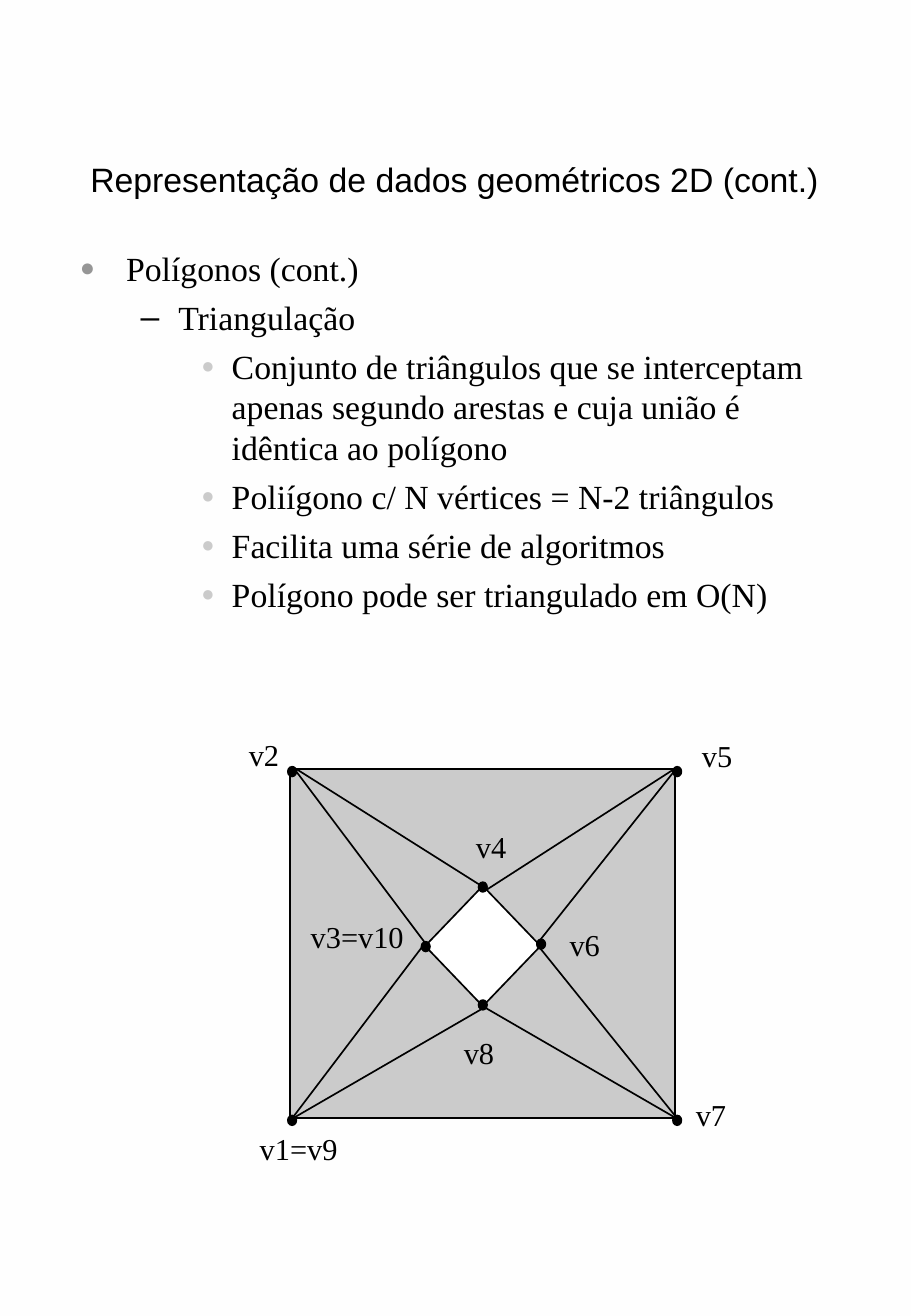
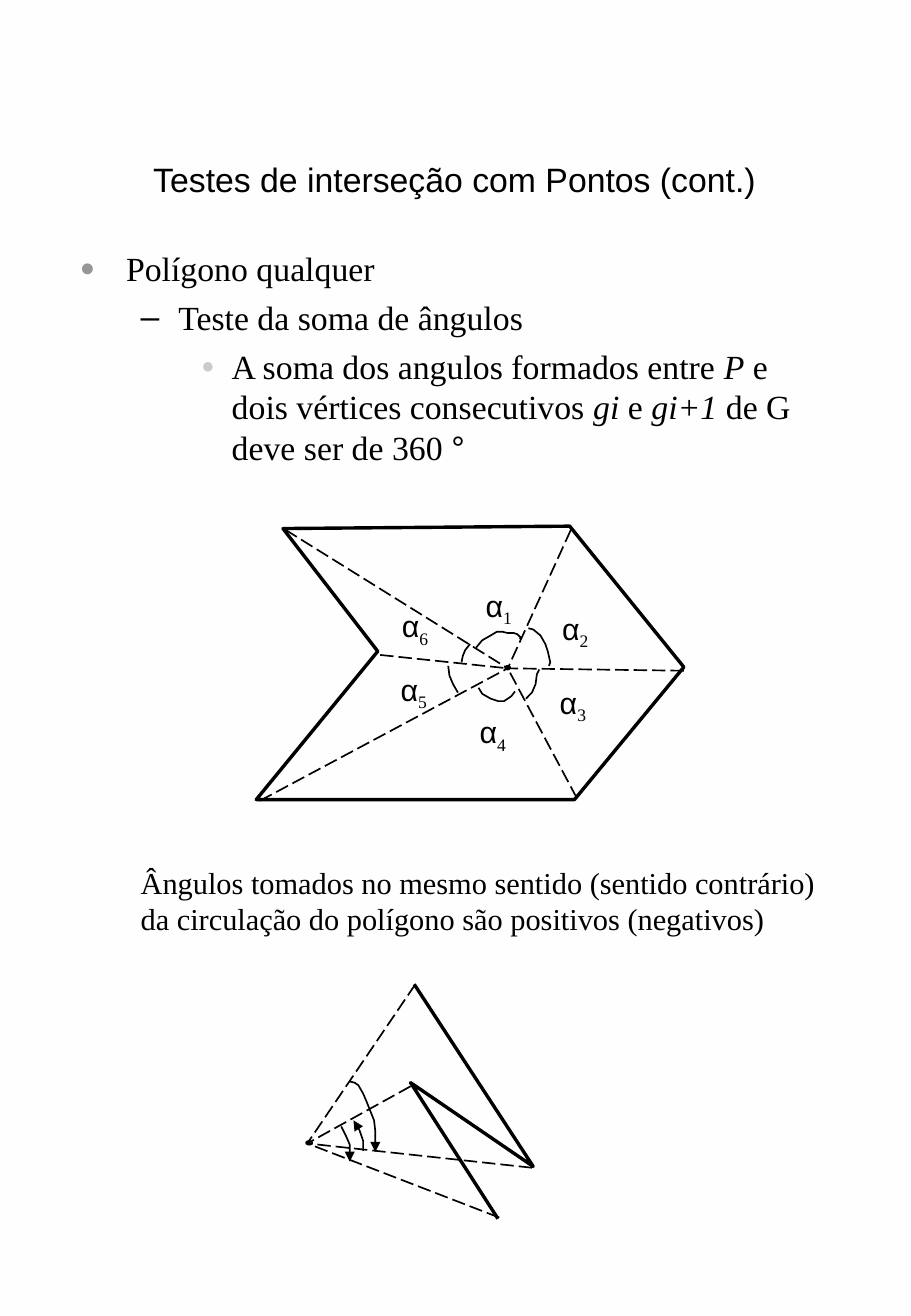
from itertools import product

from lxml import etree
from pptx import Presentation
from pptx.dml.color import RGBColor
from pptx.enum.dml import MSO_LINE
from pptx.enum.shapes import MSO_CONNECTOR, MSO_SHAPE
from pptx.enum.text import MSO_ANCHOR, MSO_AUTO_SIZE, PP_ALIGN
from pptx.oxml.ns import qn
from pptx.util import Inches, Pt

BLACK = RGBColor(0x00, 0x00, 0x00)
WHITE = RGBColor(0xFF, 0xFF, 0xFF)
PALE = RGBColor(0xFE, 0xFE, 0xFE)
GRAY = RGBColor(0xCB, 0xCB, 0xCB)
DARK = RGBColor(0x96, 0x96, 0x96)
SERIF, SANS = "Times New Roman", "Arial"
OVAL, DIAMOND = MSO_SHAPE.OVAL, MSO_SHAPE.DIAMOND
LEFT, CENTER = PP_ALIGN.LEFT, PP_ALIGN.CENTER
TOP, MIDDLE = MSO_ANCHOR.TOP, MSO_ANCHOR.MIDDLE
FIT = MSO_AUTO_SIZE.SHAPE_TO_FIT_TEXT
DASH = MSO_LINE.LONG_DASH
STRAIGHT = MSO_CONNECTOR.STRAIGHT

# Per level: left margin, hanging indent, sign, its font, colour, size in percent
LEVELS = [
    (0.38, 0.38, "●", SERIF, DARK, 75),
    (0.81, 0.31, "–", SANS, BLACK, 100),
    (1.25, 0.25, "●", SERIF, GRAY, 65),
]


def text(page, box, paras, size=18, font=SERIF, align=LEFT, anchor=TOP,
         wrap=True, fit=False, before=0):
    """Each paragraph is (level or None, run, ...); a run is a string or (string, format)."""
    frame = page.shapes.add_textbox(*map(Inches, box)).text_frame
    frame.word_wrap = wrap
    frame.vertical_anchor = anchor
    if fit:
        frame.auto_size = FIT
    for i, (level, *runs) in enumerate(paras):
        para = frame.add_paragraph() if i else frame.paragraphs[0]
        para.alignment = align
        para.space_before = Pt(before)
        if level is not None:
            margin, hang, sign, face, color, scale = LEVELS[level]
            para.level = level
            props = para._p.get_or_add_pPr()
            props.set("marL", str(Inches(margin)))
            props.set("indent", str(-Inches(hang)))
            tint = etree.SubElement(props, qn("a:buClr"))
            etree.SubElement(tint, qn("a:srgbClr"), val=str(color))
            etree.SubElement(props, qn("a:buSzPct"), val=str(scale * 1000))
            etree.SubElement(props, qn("a:buFont"), typeface=face)
            etree.SubElement(props, qn("a:buChar"), char=sign)
        for part in runs:
            words, form = (part, {}) if isinstance(part, str) else part
            run = para.add_run()
            run.text = words
            run.font.size = Pt(size)
            run.font.name = form.get("font", font)
            run.font.italic = form.get("italic", False)
            run.font.color.rgb = BLACK
            if "base" in form:
                run._r.get_or_add_rPr().set("baseline", str(form["base"] * 1000))


def draw(page, points, width=1, fill=None, close=False, dash=None, arrow=False):
    """Two points give a connector, more give a freeform."""
    spots = [(Inches(x), Inches(y)) for x, y in points]
    if len(spots) == 2:
        shape = page.shapes.add_connector(STRAIGHT, *spots[0], *spots[1])
    else:
        pen = page.shapes.build_freeform(*spots[0], scale=1.0)
        pen.add_line_segments(spots[1:], close=close)
        shape = pen.convert_to_shape()
        if fill is None:
            shape.fill.background()
        else:
            shape.fill.solid()
            shape.fill.fore_color.rgb = fill
    shape.line.color.rgb = BLACK
    shape.line.width = Pt(width)
    if dash:
        shape.line.dash_style = dash
    if arrow:
        etree.SubElement(shape.line._get_or_add_ln(), qn("a:tailEnd"), type="triangle")
    etree.SubElement(shape._element.spPr, qn("a:effectLst"))


deck = Presentation()
deck.slide_width, deck.slide_height = Inches(7.5), Inches(10.83)

ITALIC = {"italic": True}
topics = [
    ("Representação de dados geométricos 2D (cont.)", 7.64, [
        (0, "Polígonos (cont.)"),
        (1, "Triangulação"),
        (2, "Conjunto de triângulos que se interceptam apenas segundo arestas "
            "e cuja união é idêntica ao polígono"),
        (2, "Poliígono c/ N vértices = N-2 triângulos"),
        (2, "Facilita uma série de algoritmos"),
        (2, "Polígono pode ser triangulado em O(N)"),
    ]),
    ("Testes de interseção com Pontos (cont.)", 2.26, [
        (0, "Polígono qualquer"),
        (1, "Teste da soma de ângulos"),
        (2, "A soma dos angulos formados entre ", ("P", ITALIC),
         " e dois vértices consecutivos ", ("gi ", ITALIC), "e ", ("gi+1 ", ITALIC),
         "de G deve ser de 360 ", ("°", {"font": SANS})),
    ]),
]
pages = []
for title, height, body in topics:
    page = deck.slides.add_slide(deck.slide_layouts[6])
    back = page.background.fill
    back.gradient()
    back.gradient_angle = 180
    for stop, color in zip(back.gradient_stops, (PALE, WHITE)):
        stop.color.rgb = color
    text(page, (0.56, 0.96, 6.37, 1.02), [(None, title)], size=20, font=SANS,
         align=CENTER, anchor=MIDDLE)
    text(page, (0.56, 1.99, 6.37, height), body, size=20, before=5)
    pages.append(page)
mesh, angles = pages

# Outlines
draw(mesh, [(2.39, 9.2), (2.39, 6.33), (5.56, 6.33), (5.56, 9.2)], fill=GRAY, close=True)
draw(angles, [(2.11, 6.58), (3.11, 5.36), (2.33, 4.35), (4.69, 4.33), (5.63, 5.49),
              (4.73, 6.58)], width=2, close=True)
draw(angles, [(3.41, 8.1), (4.39, 9.6), (3.38, 8.91), (4.1, 10.03)], width=2)

# Hole and vertex dots
knots = [*product((2.37, 5.54), (6.31, 9.18)),
         (3.47, 7.75), (3.94, 7.26), (4.42, 7.73), (3.94, 8.23)]
marks = [(mesh, DIAMOND, (3.5, 7.29, 0.95, 0.99), WHITE)]
marks += [(mesh, OVAL, (x, y, 0.07, 0.08), BLACK) for x, y in knots]
marks += [(angles, OVAL, (4.16, 5.48, 0.04, 0.03), GRAY),
          (angles, OVAL, (2.52, 9.39, 0.05, 0.03), GRAY)]
for page, kind, box, color in marks:
    mark = page.shapes.add_shape(kind, *map(Inches, box))
    mark.shadow.inherit = False
    mark.fill.solid()
    mark.fill.fore_color.rgb = color
    mark.line.color.rgb = BLACK
    mark.line.width = Pt(1)

# Each corner joins the two nearest vertices of the hole
corners = [(2.41, 6.31), (5.58, 6.31), (5.58, 9.21), (2.4, 9.21)]
inner = [(3.5, 7.76), (4.01, 7.32), (4.42, 7.77), (3.99, 8.29)]
for i, corner in enumerate(corners):
    for hub in (inner[i], inner[(i + 1) % 4]):
        draw(mesh, [hub, corner])

# Dashed rays from each point of view
fans = [
    ((4.18, 5.5), [(2.35, 4.36), (3.13, 5.39), (2.14, 6.59), (4.7, 4.36),
                   (5.63, 5.52), (4.75, 6.57)]),
    ((2.53, 9.41), [(3.42, 8.1), (4.38, 9.61), (3.38, 8.94), (4.11, 10.02)]),
]
for eye, ends in fans:
    for end in ends:
        draw(angles, [end, eye], dash=DASH)

# Angle arcs, then the arcs with a direction
arcs = [
    [(3.92, 5.33), (3.97, 5.27), (4.04, 5.23), (4.09, 5.2), (4.14, 5.2), (4.18, 5.21),
     (4.23, 5.21), (4.26, 5.22), (4.29, 5.25), (4.28, 5.26)],
    [(4.35, 5.17), (4.39, 5.18), (4.45, 5.23), (4.49, 5.3), (4.51, 5.36), (4.53, 5.45),
     (4.52, 5.48)],
    [(3.94, 5.66), (3.97, 5.71), (4.04, 5.75), (4.1, 5.77), (4.15, 5.77), (4.21, 5.73),
     (4.24, 5.69)],
    [(3.69, 5.48), (3.7, 5.56), (3.73, 5.63), (3.77, 5.7)],
    [(3.87, 5.3), (3.83, 5.35), (3.81, 5.4), (3.8, 5.45)],
    [(4.44, 5.51), (4.42, 5.55), (4.41, 5.63), (4.38, 5.7), (4.33, 5.75)],
]
turns = [
    [(2.88, 8.9), (2.92, 8.91), (2.95, 8.93), (2.99, 9), (3.02, 9.07), (3.06, 9.17),
     (3.08, 9.22), (3.09, 9.31), (3.09, 9.48)],
    [(2.99, 9.47), (2.99, 9.39), (2.96, 9.3), (2.91, 9.22)],
    [(2.81, 9.27), (2.85, 9.35), (2.88, 9.42), (2.88, 9.56)],
]
for curve in arcs + turns:
    draw(angles, curve, arrow=curve in turns)

# Labels
names = [
    ("v1=v9", 2.04, 9.25, 0.84), ("v2", 1.95, 6.01, 0.45), ("v7", 5.63, 8.97, 0.45),
    ("v3=v10", 2.46, 7.51, 1), ("v4", 3.82, 6.77, 0.45), ("v6", 4.59, 7.57, 0.45),
    ("v5", 5.68, 6.02, 0.45), ("v8", 3.72, 8.46, 0.45),
]
for name, x, y, width in names:
    text(mesh, (x, y, width, 0.4), [(None, name)], wrap=False, fit=True)

places = [(3.9, 4.78), (4.53, 4.97), (4.51, 5.58), (3.85, 5.82), (3.2, 5.47), (3.21, 4.95)]
for i, (x, y) in enumerate(places, 1):
    label = (None, ("α", {"font": SANS}), (str(i), {"base": -25}))
    text(angles, (x, y, 0.43, 0.44), [label], wrap=False, fit=True)

text(angles, (1.06, 7.06, 5.9, 0.7), [
    (None, "Ângulos tomados no mesmo sentido (sentido contrário) "
           "da circulação do polígono são positivos (negativos)"),
], fit=True, before=11.2)

deck.save("out.pptx")
